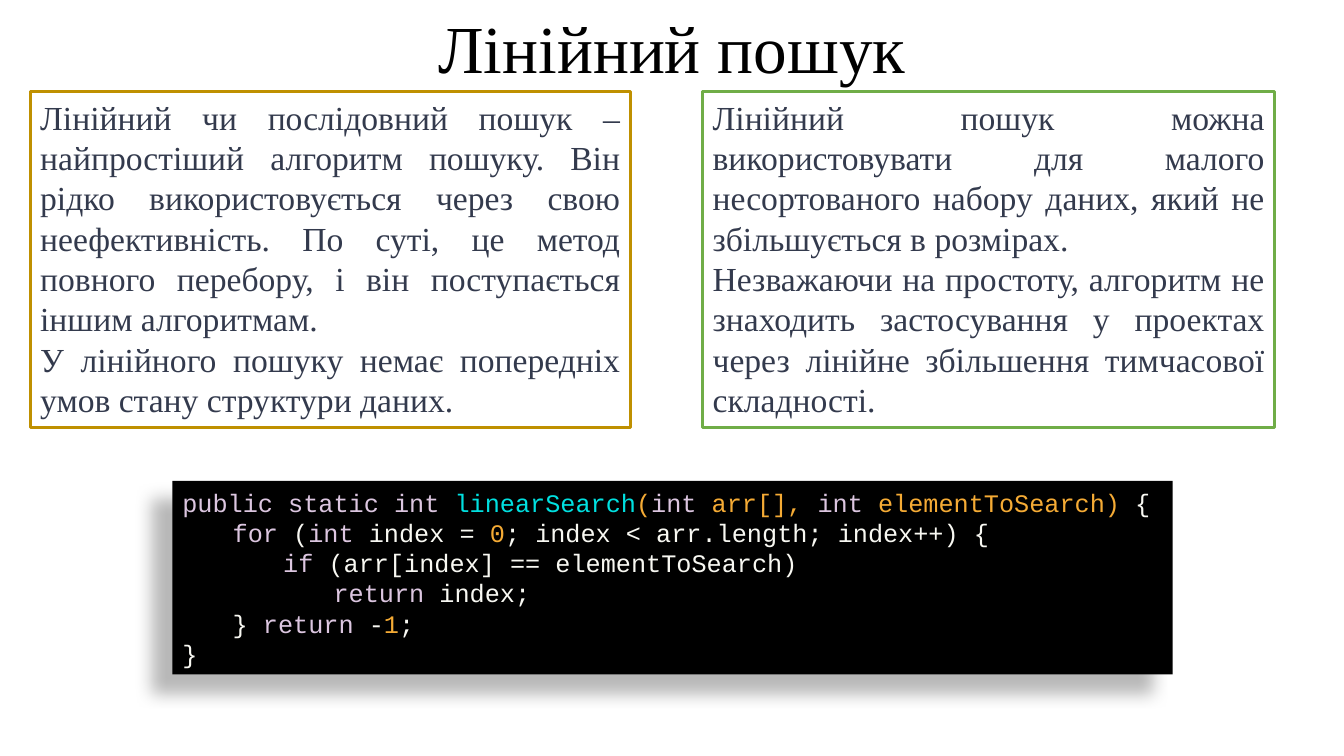
from lxml import etree
from pptx import Presentation
from pptx.dml.color import RGBColor
from pptx.enum.shapes import MSO_SHAPE
from pptx.enum.text import MSO_ANCHOR, PP_ALIGN
from pptx.oxml.ns import qn
from pptx.util import Inches, Pt

RECT = MSO_SHAPE.RECTANGLE
TOP, MIDDLE, BOTTOM = MSO_ANCHOR.TOP, MSO_ANCHOR.MIDDLE, MSO_ANCHOR.BOTTOM
LEFT, CENTER, JUSTIFY = PP_ALIGN.LEFT, PP_ALIGN.CENTER, PP_ALIGN.JUSTIFY
SERIF, MONO = "Times New Roman", "Courier New"
BLACK, SLATE = "000000", "333A4D"
KEY, NAME, ARG, PLAIN = "DCC6E0", "00E0E0", "F5AB35", "F8F8F2"


def color(code):
    return RGBColor.from_string(code)


def write(shape, lines, font, size, align, anchor):
    """Fill a shape with lines, each a list of (text, colour) runs."""
    frame = shape.text_frame
    frame.word_wrap = True
    frame.vertical_anchor = anchor
    for i, line in enumerate(lines):
        para = frame.paragraphs[0] if i == 0 else frame.add_paragraph()
        para.alignment = align
        for text, code in line:
            run = para.add_run()
            run.text = text
            run.font.name = font
            run.font.size = Pt(size)
            run.font.color.rgb = color(code)


deck = Presentation()
deck.slide_width, deck.slide_height = Inches(13.33), Inches(7.5)
slide = deck.slides.add_slide(deck.slide_layouts[6])
shapes = slide.shapes

# Title
title = shapes.add_textbox(0, 0, Inches(13.33), Inches(0.91))
write(title, [[("Лінійний пошук", BLACK)]], SERIF, 48, CENTER, BOTTOM)

# Code panel with a soft shadow to the lower left
panel = shapes.add_shape(RECT, Inches(1.71), Inches(4.77), Inches(9.92), Inches(1.92))
panel.fill.solid()
panel.fill.fore_color.rgb = color(BLACK)
panel.line.fill.background()
panel.shadow.inherit = False
effects = panel.element.spPr.find(qn("a:effectLst"))
shadow = etree.SubElement(effects, qn("a:outerShdw"), blurRad=str(Pt(11.8)),
                          dist=str(Pt(19.7)), dir=str(141 * 60000),
                          algn="ctr", rotWithShape="0")
tint = etree.SubElement(shadow, qn("a:srgbClr"), val=BLACK)
etree.SubElement(tint, qn("a:alpha"), val="28000")

code = [
    [("public static int ", KEY), ("linearSearch", NAME), ("(", ARG), ("int ", KEY),
     ("arr[], ", ARG), ("int ", KEY), ("elementToSearch)", ARG), (" {", PLAIN)],
    [("\t", PLAIN), ("for", KEY), (" (", PLAIN), ("int", KEY), (" index = ", PLAIN),
     ("0", ARG), ("; index < arr.length; index++) {", PLAIN)],
    [("\t\t", PLAIN), ("if", KEY), (" (arr[index] == elementToSearch)", PLAIN)],
    [("\t\t\t", PLAIN), ("return", KEY), (" index;", PLAIN)],
    [("\t} ", PLAIN), ("return", KEY), (" -", PLAIN), ("1", ARG), (";", PLAIN)],
    [("}", PLAIN)],
]
write(panel, code, MONO, 18, LEFT, MIDDLE)

# Two framed notes
notes = [
    (0.3, 5.95, "BF9000", [
        "Лінійний чи послідовний пошук – найпростіший алгоритм пошуку. "
        "Він рідко використовується через свою неефективність. По суті, "
        "це метод повного перебору, і він поступається іншим алгоритмам.",
        "У лінійного пошуку немає попередніх умов стану структури даних."]),
    (6.97, 5.67, "70AD47", [
        "Лінійний пошук можна використовувати для малого несортованого "
        "набору даних, який не збільшується в розмірах.",
        "Незважаючи на простоту, алгоритм не знаходить застосування у "
        "проектах через лінійне збільшення тимчасової складності."]),
]
for left, width, edge, texts in notes:
    note = shapes.add_shape(RECT, Inches(left), Inches(0.91), Inches(width), Inches(3.33))
    note.fill.background()
    note.line.color.rgb = color(edge)
    note.line.width = Pt(2.25)
    note.shadow.inherit = False
    write(note, [[(text, SLATE)] for text in texts], SERIF, 24, JUSTIFY, TOP)

deck.save("out.pptx")
